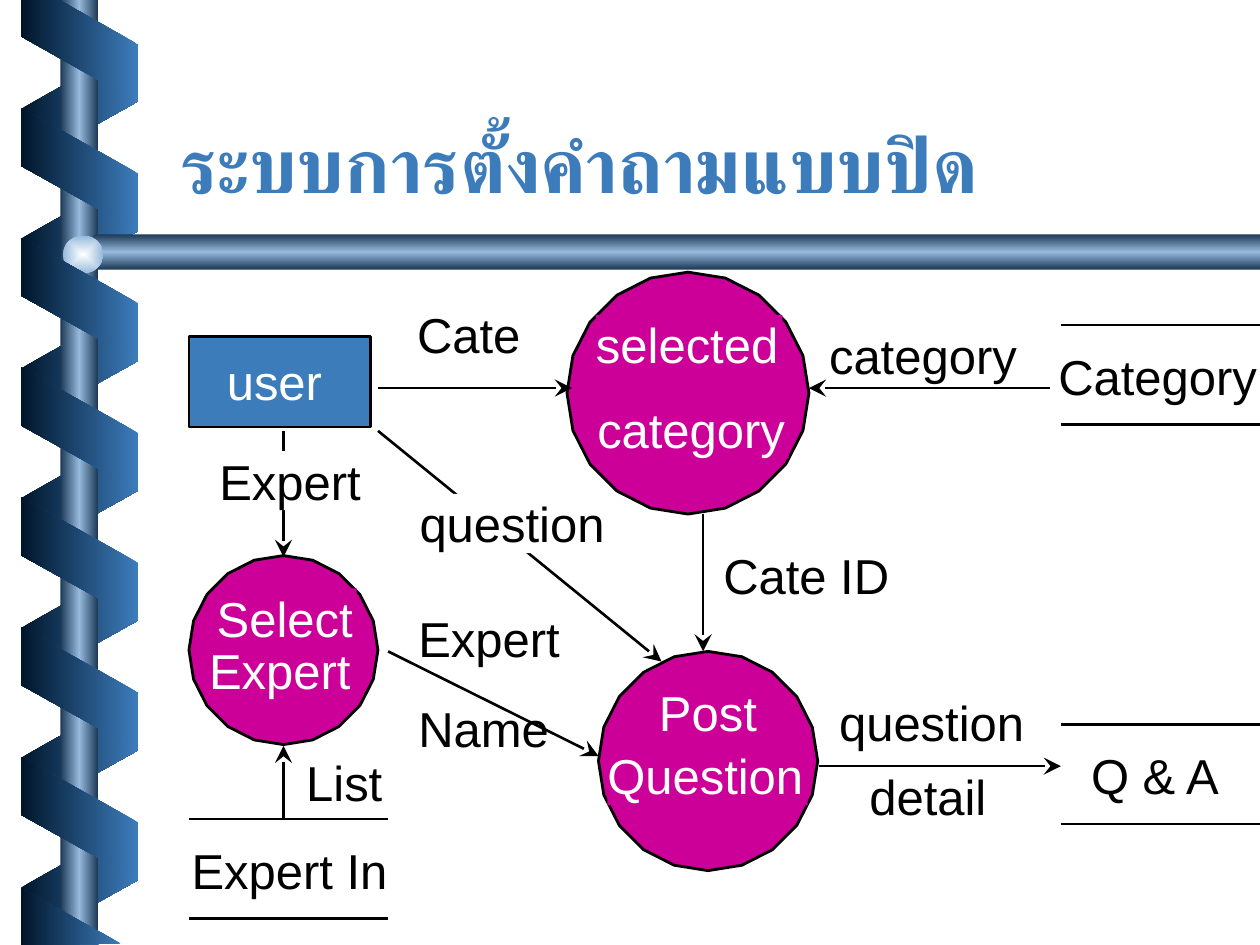
import math

import pptx
import pptx.dml.color
import pptx.enum.shapes
import pptx.enum.text
import pptx.oxml
import pptx.oxml.ns
import pptx.util
from pptx.util import Inches

SHAPES = pptx.enum.shapes.MSO_SHAPE
BLUE, NAVY, MAGENTA = "3D7CBB", "00152A", "CC0099"
BLACK, WHITE = "000000", "FFFFFF"
ROD_STOPS = [(0, "1C3956"), (50, "96B9DC"), (100, "1C3956")]
FRONT_STOPS = [(0, BLUE), (100, NAVY)]
BACK_STOPS = [(0, NAVY), (100, BLUE)]

PROCESSES = [(5.46, 3.12, 0.96), (5.62, 6.04, 0.87), (2.25, 5.16, 0.75)]
STORES = [(8.42, 5.75), (8.42, 2.58), (1.5, 6.5)]
FLOWS = [
    ((8.33, 3.08), (6.42, 3.08)),
    ((3, 3.08), (4.54, 3.08)),
    ((6.5, 6.08), (8.42, 6.08)),
    ((3, 3.42), (5.25, 5.25)),
    ((2.25, 3.42), (2.25, 4.42)),
    ((5.58, 4.08), (5.58, 5.17)),
    ((3.08, 5.17), (4.75, 6)),
    ((2.25, 6.5), (2.25, 5.92)),
]
LABELS = [
    ("selected", 4.73, 2.5, 1.48, WHITE, MAGENTA),
    ("category", 4.74, 3.17, 1.52, WHITE, MAGENTA),
    ("Post", 5.23, 5.42, 0.81, WHITE, MAGENTA),
    ("Question", 4.82, 5.92, 1.59, WHITE, MAGENTA),
    ("Select", 1.72, 4.67, 1.11, WHITE, MAGENTA),
    ("Expert", 1.66, 5.08, 1.15, WHITE, MAGENTA),
    ("user", 1.8, 2.79, 0.79, WHITE, BLUE),
    ("Q & A", 8.66, 5.92, 1.07, BLACK, None),
    ("Category", 8.4, 2.75, 1.6, BLACK, None),
    ("Expert In", 1.52, 6.67, 1.58, BLACK, None),
    ("category", 6.58, 2.58, 1.52, BLACK, None),
    ("Cate", 3.31, 2.42, 0.85, BLACK, None),
    ("question", 6.66, 5.5, 1.5, BLACK, None),
    ("detail", 6.9, 6.08, 0.96, BLACK, None),
    ("question", 3.33, 3.92, 1.5, BLACK, WHITE),
    ("Expert", 1.74, 3.58, 1.15, BLACK, WHITE),
    ("Cate ID", 5.74, 4.33, 1.35, BLACK, None),
    ("Expert\nName", 3.32, 4.83, 1.15, BLACK, None),
    ("List", 2.43, 5.97, 0.65, BLACK, None),
]


def paint(fill, color):
    """Fill with one solid hex colour."""
    fill.solid()
    fill.fore_color.rgb = pptx.dml.color.RGBColor.from_string(color)


def paint_gradient(shape, stops, angle=None):
    """Fill with a page-aligned linear gradient, or a centred one without an angle."""
    stop_xml = "".join(
        f'<a:gs pos="{position * 1000}"><a:srgbClr val="{color}"/></a:gs>'
        for position, color in stops
    )
    if angle is None:
        shade = ('<a:path path="rect"><a:fillToRect l="50000" t="50000" '
                 'r="50000" b="50000"/></a:path>')
    else:
        shade = f'<a:lin ang="{angle * 60000}" scaled="0"/>'
    gradient = pptx.oxml.parse_xml(
        f'<a:gradFill {pptx.oxml.ns.nsdecls("a")} rotWithShape="0">'
        f"<a:gsLst>{stop_xml}</a:gsLst>{shade}</a:gradFill>"
    )
    shape.fill.background()
    properties = shape._element.spPr
    properties.replace(properties.find(pptx.oxml.ns.qn("a:noFill")), gradient)


def outline(shape, color=None, width=1.5):
    """Drop the shadow and set the outline, or remove it without a colour."""
    shape.shadow.inherit = False
    if color is None:
        shape.line.fill.background()
    else:
        paint(shape.line.fill, color)
        shape.line.width = pptx.util.Pt(width)
    return shape


def add_preset(slide, kind, left, top, width, height):
    """Add a preset shape placed in inches."""
    return slide.shapes.add_shape(
        kind, Inches(left), Inches(top), Inches(width), Inches(height))


def add_freeform(slide, *contours, close=True):
    """Add a freeform of one or more contours given in inches."""
    builder = None
    for contour in contours:
        start, *corners = [(Inches(x), Inches(y)) for x, y in contour]
        if builder is None:
            builder = slide.shapes.build_freeform(*start, scale=1.0)
        else:
            builder.move_to(*start)
        builder.add_line_segments(corners, close=close)
    return builder.convert_to_shape()


def add_arrow(slide, start, end):
    """Add a black line with an arrowhead at its end."""
    arrow = slide.shapes.add_connector(
        pptx.enum.shapes.MSO_CONNECTOR.STRAIGHT,
        *(Inches(value) for value in (*start, *end)))
    paint(arrow.line.fill, BLACK)
    arrow.line.width = pptx.util.Pt(1.5)
    namespace = pptx.oxml.ns.nsdecls("a")
    arrow.line._get_or_add_ln().append(pptx.oxml.parse_xml(
        f'<a:tailEnd {namespace} type="stealth" w="lg" len="lg"/>'))
    arrow._element.spPr.append(pptx.oxml.parse_xml(f"<a:effectLst {namespace}/>"))


def write(frame, text, font="Arial", size=28, color=BLACK, bold=False, gap=17.5):
    """Write one left-aligned paragraph per line of text."""
    for index, line in enumerate(text.split("\n")):
        paragraph = frame.add_paragraph() if index else frame.paragraphs[0]
        paragraph.alignment = pptx.enum.text.PP_ALIGN.LEFT
        paragraph.space_before = pptx.util.Pt(gap if index else 0)
        run = paragraph.add_run()
        run.text = line
        run.font.name, run.font.size, run.font.bold = font, pptx.util.Pt(size), bold
        paint(run.font.fill, color)
        run.font._element.append(pptx.oxml.parse_xml(
            f'<a:cs {pptx.oxml.ns.nsdecls("a")} typeface="{font}"/>'))


def add_label(slide, text, left, top, width, color, background):
    """Add an unwrapped label without margins."""
    height = 1.18 if "\n" in text else 0.47
    box = slide.shapes.add_textbox(
        Inches(left), Inches(top), Inches(width), Inches(height))
    if background:
        paint(box.fill, background)
    frame = box.text_frame
    frame.margin_left = frame.margin_right = frame.margin_top = frame.margin_bottom = 0
    frame.word_wrap = False
    frame.auto_size = pptx.enum.text.MSO_AUTO_SIZE.SHAPE_TO_FIT_TEXT
    write(frame, text, color=color)


def add_strands(slide, first_top, count, rotation, stops, flip=False):
    """Add one side of the ribbon as evenly spaced slanted strands."""
    for index in range(count):
        strand = outline(add_preset(
            slide, SHAPES.PARALLELOGRAM, 0.14, first_top + 1.03 * index, 0.98, 0.93))
        strand.adjustments[0] = 0.56
        strand.rotation = rotation
        if flip:
            strand._element.spPr.xfrm.set("flipH", "1")
        paint_gradient(strand, stops, 180)


def add_ribbon(slide):
    """Draw the rods with the ribbon wound around the upright one."""
    add_strands(slide, 0.37, 7, 90, BACK_STOPS, flip=True)
    upright = outline(add_preset(slide, SHAPES.RECTANGLE, 0.48, 0, 0.3, 7.5))
    paint_gradient(upright, ROD_STOPS, 180)
    crossbar = outline(add_freeform(
        slide, [(10, 1.86), (0.76, 1.86), (0.6, 2), (0.76, 2.14), (10, 2.14)]))
    paint_gradient(crossbar, ROD_STOPS, 90)
    knob = outline(add_preset(slide, SHAPES.OVAL, 0.5, 1.87, 0.32, 0.3))
    paint_gradient(knob, [(0, "FEFFFF"), (100, "96B9DC")])
    add_strands(slide, 0.88, 6, 270, FRONT_STOPS)
    for points in (
        [(0.17, 0), (0.17, 0.29), (1.09, 0.81), (1.09, 0.35), (0.47, 0)],
        [(0.96, 7.49), (0.17, 7.05), (0.17, 7.5)],
    ):
        paint_gradient(outline(add_freeform(slide, points)), FRONT_STOPS, 180)


def add_process(slide, center_x, center_y, radius):
    """Add a twenty-sided process node."""
    angles = [math.radians(18 * step) for step in range(20)]
    node = add_freeform(slide, [
        (center_x - radius * math.cos(angle), center_y - radius * math.sin(angle))
        for angle in angles])
    paint(outline(node, BLACK, 1.62).fill, MAGENTA)


def add_store(slide, left, top):
    """Add the two parallel lines of a data store."""
    lines = [[(left, y), (left + 1.58, y)] for y in (top + 0.79, top)]
    store = add_freeform(slide, *lines, close=False)
    outline(store, BLACK, 1.62).fill.background()


def main():
    """Build the data flow slide."""
    presentation = pptx.Presentation()
    presentation.slide_width, presentation.slide_height = Inches(10), Inches(7.5)
    slide = presentation.slides.add_slide(presentation.slide_layouts[5])
    add_ribbon(slide)
    title = slide.shapes.title
    title.left, title.top = Inches(1.33), Inches(0.46)
    title.width, title.height = Inches(8.5), Inches(1.25)
    title.text_frame.vertical_anchor = pptx.enum.text.MSO_ANCHOR.BOTTOM
    write(title.text_frame, "ระบบการตั้งคำถามแบบปิด",
          font="Roboto", size=44, color=BLUE, bold=True)
    for process in PROCESSES:
        add_process(slide, *process)
    user = add_preset(slide, SHAPES.RECTANGLE, 1.5, 2.67, 1.44, 0.72)
    paint(outline(user, BLACK).fill, BLUE)
    for store in STORES:
        add_store(slide, *store)
    for flow in FLOWS:
        add_arrow(slide, *flow)
    for label in LABELS:
        add_label(slide, *label)
    presentation.save("out.pptx")


if __name__ == "__main__":
    main()
